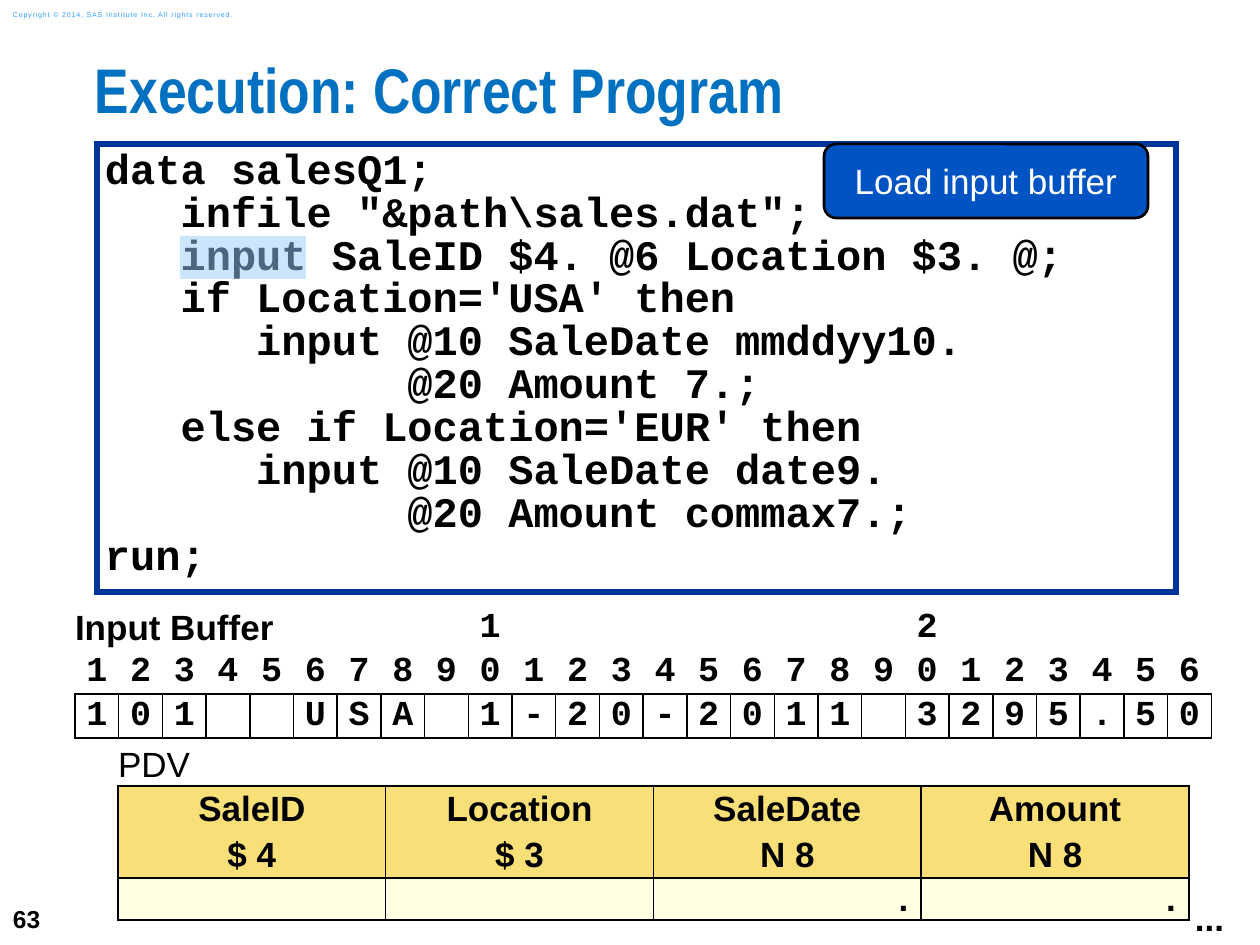
from lxml import etree
from pptx import Presentation
from pptx.dml.color import RGBColor
from pptx.enum.shapes import MSO_SHAPE
from pptx.enum.text import MSO_ANCHOR, MSO_AUTO_SIZE, PP_ALIGN
from pptx.oxml.ns import qn
from pptx.util import Pt

TITLE = "Execution: Correct Program"
COPYRIGHT = "Copyright © 2014, SAS Institute Inc. All rights reserved."
PAGE_NUMBER = "63"
CODE = r"""data salesQ1;
   infile "&path\sales.dat";
   input SaleID $4. @6 Location $3. @;
   if Location='USA' then
      input @10 SaleDate mmddyy10.
            @20 Amount 7.;
   else if Location='EUR' then
      input @10 SaleDate date9.
            @20 Amount commax7.;
run;""".split("\n")
BUFFER_LABEL = "Input Buffer"
BUFFER = "101  USA 1-20-2011 3295.50"
LABEL_SPAN = 9
PDV_LABEL = "PDV"
VARIABLES = [("SaleID", "$ 4", ""), ("Location", "$ 3", ""),
             ("SaleDate", "N 8", "."), ("Amount", "N 8", ".")]

BLACK = RGBColor(0x00, 0x00, 0x00)
WHITE = RGBColor(0xFF, 0xFF, 0xFF)
TITLE_BLUE = RGBColor(0x00, 0x70, 0xC0)
FRAME_BLUE = RGBColor(0x00, 0x33, 0x99)
BUTTON_BLUE = RGBColor(0x00, 0x53, 0xC3)
NOTICE_BLUE = RGBColor(0x2A, 0x9C, 0xFF)
HIGHLIGHT = RGBColor(0x99, 0xCC, 0xFF)
GOLD = RGBColor(0xF9, 0xDF, 0x78)
CREAM = RGBColor(0xFF, 0xFF, 0xE1)

EMU_PER_PX = 914400 / 126


def px(length):
    return round(length * EMU_PER_PX)


def font(size, name="Arial", color=BLACK, bold=False):
    return {"size": Pt(size), "name": name, "color": color, "bold": bold}


BOLD = font(20, bold=True)
MONO = font(20, "Courier New", bold=True)


def write(frame, lines, style, align=PP_ALIGN.LEFT, spacing=None, before=0,
          inset=(0, 0), anchor=MSO_ANCHOR.TOP):
    """Fill a text frame; inset is (horizontal, vertical) in px."""
    across, down = (px(side) for side in inset)
    frame.margin_left = frame.margin_right = across
    frame.margin_top = frame.margin_bottom = down
    frame.vertical_anchor = anchor
    for index, line in enumerate(lines):
        para = frame.add_paragraph() if index else frame.paragraphs[0]
        para.alignment = align
        if spacing:
            para.line_spacing = spacing
        if index:
            para.space_before = Pt(before)
        span = para.add_run()
        span.text = line
        for key, value in style.items():
            if key == "color":
                span.font.color.rgb = value
            else:
                setattr(span.font, key, value)


def add_text(slide, area, text, style, wrap=False, anchor=MSO_ANCHOR.TOP):
    box = slide.shapes.add_textbox(*map(px, area))
    write(box.text_frame, [text], style, inset=(13, 6), anchor=anchor)
    box.text_frame.word_wrap = wrap
    return box


def add_block(slide, kind, area, fill, line=None, width=0):
    block = slide.shapes.add_shape(kind, *map(px, area))
    block.shadow.inherit = False
    block.fill.solid()
    block.fill.fore_color.rgb = fill
    if line is None:
        block.line.fill.background()
    else:
        block.line.color.rgb = line
        block.line.width = Pt(width)
        etree.SubElement(block.line._get_or_add_ln(), qn("a:miter"), lim="800000")
    return block


def add_grid(slide, left, top, width, row_heights, columns):
    height = sum(row_heights)
    grid = slide.shapes.add_table(len(row_heights), columns,
                                  *map(px, (left, top, width, height))).table
    grid.first_row = grid.horz_banding = False
    for row, size in zip(grid.rows, row_heights):
        row.height = px(size)
    for column in grid.columns:
        column.width = px(width / columns)
    return grid


def format_cell(cell, text_lines, style, borders, fill=None,
                align=PP_ALIGN.CENTER, inset=0):
    """Write a cell; borders names the black sides among L, R, T and B."""
    lines = [line for line in text_lines if line.strip()]
    write(cell.text_frame, lines, style, align, before=4)
    cell.margin_left = cell.margin_right = px(inset)
    cell.margin_top = cell.margin_bottom = 0
    cell.vertical_anchor = MSO_ANCHOR.MIDDLE
    if fill is None:
        cell.fill.background()
    else:
        cell.fill.solid()
        cell.fill.fore_color.rgb = fill
    properties = cell._tc.get_or_add_tcPr()
    for index, side in enumerate("LRTB"):
        edge = etree.Element(qn(f"a:ln{side}"), w=str(Pt(1)))
        if side in borders:
            paint = etree.SubElement(edge, qn("a:solidFill"))
            etree.SubElement(paint, qn("a:srgbClr"), val=str(BLACK))
        else:
            etree.SubElement(edge, qn("a:noFill"))
        properties.insert(index, edge)


def add_input_buffer(slide):
    grid = add_grid(slide, 75, 606, 1137, [44, 44, 44], len(BUFFER))
    for index, character in enumerate(BUFFER):
        tens, units = divmod(index + 1, 10)
        mark = str(tens) if units == 0 else ""
        for row, (text, borders) in enumerate(
                [(mark, ""), (str(units), "B"), (character, "LRTB")]):
            if row or index:
                format_cell(grid.cell(row, index), [text], MONO, borders)
    label = grid.cell(0, 0)
    label.merge(grid.cell(0, LABEL_SPAN - 1))
    format_cell(label, [BUFFER_LABEL], BOLD, "", align=PP_ALIGN.LEFT)


def add_pdv(slide):
    grid = add_grid(slide, 118, 744, 1071, [42, 92, 42], len(VARIABLES))
    for column, (name, kind, value) in enumerate(VARIABLES):
        format_cell(grid.cell(0, column), [PDV_LABEL] if column == 0 else [],
                    font(20), "B", WHITE, PP_ALIGN.LEFT)
        format_cell(grid.cell(1, column), [name, kind], BOLD, "LRTB", GOLD, inset=13)
        format_cell(grid.cell(2, column), [value], BOLD, "LRTB", CREAM,
                    PP_ALIGN.RIGHT, inset=13)
    grid.cell(0, 0).merge(grid.cell(0, len(VARIABLES) - 1))


def main():
    deck = Presentation()
    deck.slide_width, deck.slide_height = px(1260), px(945)
    slide = deck.slides.add_slide(deck.slide_layouts[5])

    title = slide.shapes.title
    title.left, title.top, title.width, title.height = map(px, (95, 63, 1165, 93))
    title.text_frame.auto_size = MSO_AUTO_SIZE.NONE
    write(title.text_frame, [TITLE], font(36, "Arial Narrow", TITLE_BLUE, True),
          spacing=0.83)

    add_text(slide, (0, 892, 73, 53), PAGE_NUMBER, font(14, bold=True),
             anchor=MSO_ANCHOR.MIDDLE)
    notice = add_text(slide, (0, 4, 266, 21), COPYRIGHT, font(4, color=NOTICE_BLUE),
                      wrap=True, anchor=MSO_ANCHOR.MIDDLE)
    notice.text_frame.paragraphs[0].runs[0].font._element.set("spc", "50")

    program = add_block(slide, MSO_SHAPE.RECTANGLE, (97, 144, 1079, 448),
                        WHITE, FRAME_BLUE, 3)
    write(program.text_frame, CODE, font(24, "Courier New", bold=True),
          spacing=0.85, inset=(8, 6))

    add_input_buffer(slide)
    add_pdv(slide)

    button = add_block(slide, MSO_SHAPE.ROUNDED_RECTANGLE, (824, 144, 324, 74),
                       BUTTON_BLUE, BLACK, 1.5)
    write(button.text_frame, ["Load input buffer"], font(20, color=WHITE),
          PP_ALIGN.CENTER, inset=(13, 13), anchor=MSO_ANCHOR.MIDDLE)

    add_text(slide, (1182, 890, 64, 55), "...", BOLD)

    marker = add_block(slide, MSO_SHAPE.RECTANGLE, (180, 236, 126, 43), HIGHLIGHT)
    color = marker.fill._xPr.find(f".//{qn('a:srgbClr')}")
    etree.SubElement(color, qn("a:alpha"), val="50000")

    deck.save("out.pptx")


if __name__ == "__main__":
    main()
